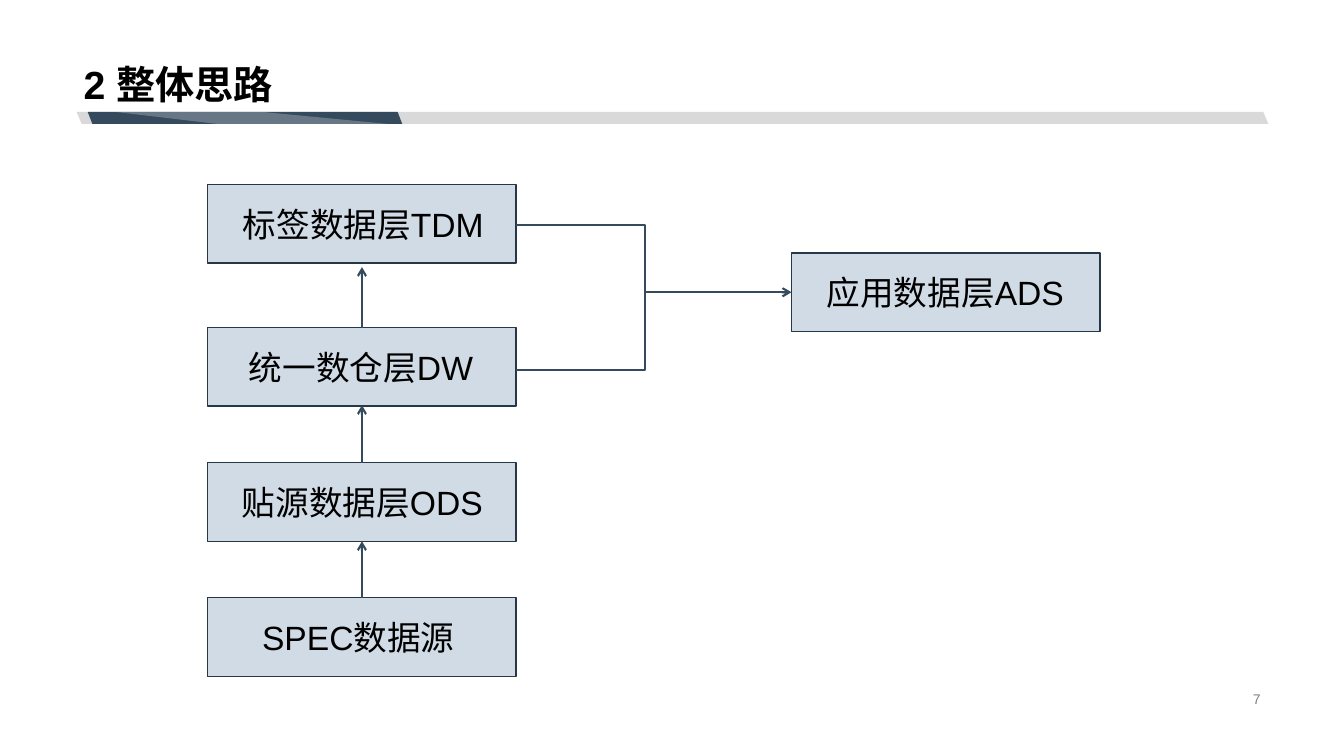
from dataclasses import dataclass

from lxml.etree import SubElement
from pptx import Presentation
from pptx.dml.color import RGBColor
from pptx.enum.shapes import MSO_CONNECTOR, MSO_SHAPE
from pptx.enum.text import MSO_ANCHOR, MSO_AUTO_SIZE, PP_ALIGN
from pptx.oxml.ns import qn
from pptx.util import Inches, Pt


@dataclass(frozen=True)
class Theme:
    """Colours, font and type sizes of the slide."""
    font: str = "Arial"
    ink: RGBColor = RGBColor(0x00, 0x00, 0x00)
    muted: RGBColor = RGBColor(0x80, 0x80, 0x80)
    rule: RGBColor = RGBColor(0xD9, 0xD9, 0xD9)
    navy: RGBColor = RGBColor(0x35, 0x4A, 0x5D)
    box_fill: RGBColor = RGBColor(0xD1, 0xDB, 0xE5)
    box_line: RGBColor = RGBColor(0x27, 0x37, 0x45)
    white: RGBColor = RGBColor(0xFF, 0xFF, 0xFF)
    title_size: Pt = Pt(28)
    box_size: Pt = Pt(24)
    number_size: Pt = Pt(10)


THEME = Theme()
BOX_WIDTH, BOX_HEIGHT = 3.06, 0.78
LAYER_LEFT, APPLICATION_LEFT, APPLICATION_TOP = 2.06, 7.85, 2.51
BUS_X = 6.4
LAYERS = [
    ("SPEC数据源", 5.93, 0.54),
    ("贴源数据层ODS", 4.59, 0.34),
    ("统一数仓层DW", 3.25, 0.41),
    ("标签数据层TDM", 1.83, 0.35),
]
ARROW_ENDS = [5.37, 4.02, 2.65]


def style_text(para, text, size, color, bold=False):
    """Write one paragraph in the theme font."""
    para.text = text
    para.font.name = THEME.font
    para.font.size = size
    para.font.bold = bold
    para.font.color.rgb = color


def add_title(slide, text):
    """Move, fill and format the title placeholder."""
    title = slide.shapes.title
    title.left, title.top = Inches(0.73), Inches(0)
    title.width, title.height = Inches(11.87), Inches(1.12)
    frame = title.text_frame
    frame.auto_size = MSO_AUTO_SIZE.NONE
    frame.vertical_anchor = MSO_ANCHOR.BOTTOM
    para = frame.paragraphs[0]
    style_text(para, text, THEME.title_size, THEME.ink, bold=True)
    para.alignment = PP_ALIGN.LEFT
    para.line_spacing = 0.9


def add_band(slide, left, width, slant, color):
    """Draw a slanted band under the title."""
    band = slide.shapes.add_shape(
        MSO_SHAPE.PARALLELOGRAM, Inches(left), Inches(1.11), Inches(width), Inches(0.12))
    band.adjustments[0] = slant
    band._element.spPr.find(qn("a:xfrm")).set("flipH", "1")
    band.shadow.inherit = False
    band.fill.solid()
    band.fill.fore_color.rgb = color
    band.line.fill.background()


def add_sheen(slide):
    """Draw the translucent highlight on the dark band."""
    builder = slide.shapes.build_freeform(Inches(3.85), Inches(1.23))
    corners = [(2.6, 1.11), (1.14, 1.11), (2.16, 1.23)]
    builder.add_line_segments([(Inches(x), Inches(y)) for x, y in corners], close=True)
    sheen = builder.convert_to_shape()
    sheen.shadow.inherit = False
    sheen.fill.solid()
    sheen.fill.fore_color.rgb = THEME.white
    color = sheen._element.spPr.find(qn("a:solidFill"))[0]
    SubElement(color, qn("a:alpha"), val="25000")
    sheen.line.fill.background()


def add_box(slide, text, left, top, indent):
    """Draw a labelled box whose text starts at the given indent."""
    box = slide.shapes.add_shape(
        MSO_SHAPE.RECTANGLE, Inches(left), Inches(top), Inches(BOX_WIDTH), Inches(BOX_HEIGHT))
    box.shadow.inherit = False
    box.fill.solid()
    box.fill.fore_color.rgb = THEME.box_fill
    box.line.color.rgb = THEME.box_line
    box.line.width = Pt(1)
    frame = box.text_frame
    frame.word_wrap = True
    frame.vertical_anchor = MSO_ANCHOR.MIDDLE
    frame.margin_left, frame.margin_right = Inches(indent), Inches(0)
    para = frame.paragraphs[0]
    style_text(para, text, THEME.box_size, THEME.ink)
    para.alignment = PP_ALIGN.LEFT


def add_link(slide, start, end, bend_x=None, arrow=True):
    """Join two points, straight or with an elbow at bend_x."""
    kind = MSO_CONNECTOR.STRAIGHT if bend_x is None else MSO_CONNECTOR.ELBOW
    link = slide.shapes.add_connector(kind, *(Inches(value) for value in (*start, *end)))
    link.line.color.rgb = THEME.navy
    link.line.width = Pt(1.5)
    properties = link._element.spPr
    if bend_x is not None:
        share = round((bend_x - start[0]) / (end[0] - start[0]) * 100000)
        guides = properties.find(qn("a:prstGeom")).get_or_add_avLst()
        SubElement(guides, qn("a:gd"), name="adj1", fmla=f"val {share}")
    if arrow:
        SubElement(properties.find(qn("a:ln")), qn("a:tailEnd"), type="arrow")
    SubElement(properties, qn("a:effectLst"))


def add_page_number(slide, text):
    """Write the page number at the lower right."""
    box = slide.shapes.add_textbox(Inches(9.42), Inches(6.82), Inches(3.18), Inches(0.23))
    frame = box.text_frame
    frame.word_wrap = True
    frame.vertical_anchor = MSO_ANCHOR.MIDDLE
    para = frame.paragraphs[0]
    style_text(para, text, THEME.number_size, THEME.muted)
    para.alignment = PP_ALIGN.RIGHT


def main():
    """Build the data layer slide."""
    deck = Presentation()
    deck.slide_width, deck.slide_height = Inches(13.33), Inches(7.5)
    slide = deck.slides.add_slide(deck.slide_layouts[5])
    add_band(slide, 0.76, 11.82, 0.42, THEME.rule)
    add_band(slide, 0.87, 3.12, 0.39, THEME.navy)
    add_sheen(slide)
    add_title(slide, "2 整体思路")
    add_page_number(slide, "7")

    for text, top, indent in LAYERS:
        add_box(slide, text, LAYER_LEFT, top, indent)
    center = LAYER_LEFT + BOX_WIDTH / 2
    for (_, top, _), end in zip(LAYERS, ARROW_ENDS):
        add_link(slide, (center, top), (center, end))

    add_box(slide, "应用数据层ADS", APPLICATION_LEFT, APPLICATION_TOP, 0.35)
    right = LAYER_LEFT + BOX_WIDTH
    middle = APPLICATION_TOP + BOX_HEIGHT / 2
    add_link(slide, (right, 2.23), (7.72, middle), BUS_X, arrow=False)
    add_link(slide, (right, 3.67), (APPLICATION_LEFT, middle), BUS_X)
    deck.save("out.pptx")


if __name__ == "__main__":
    main()
